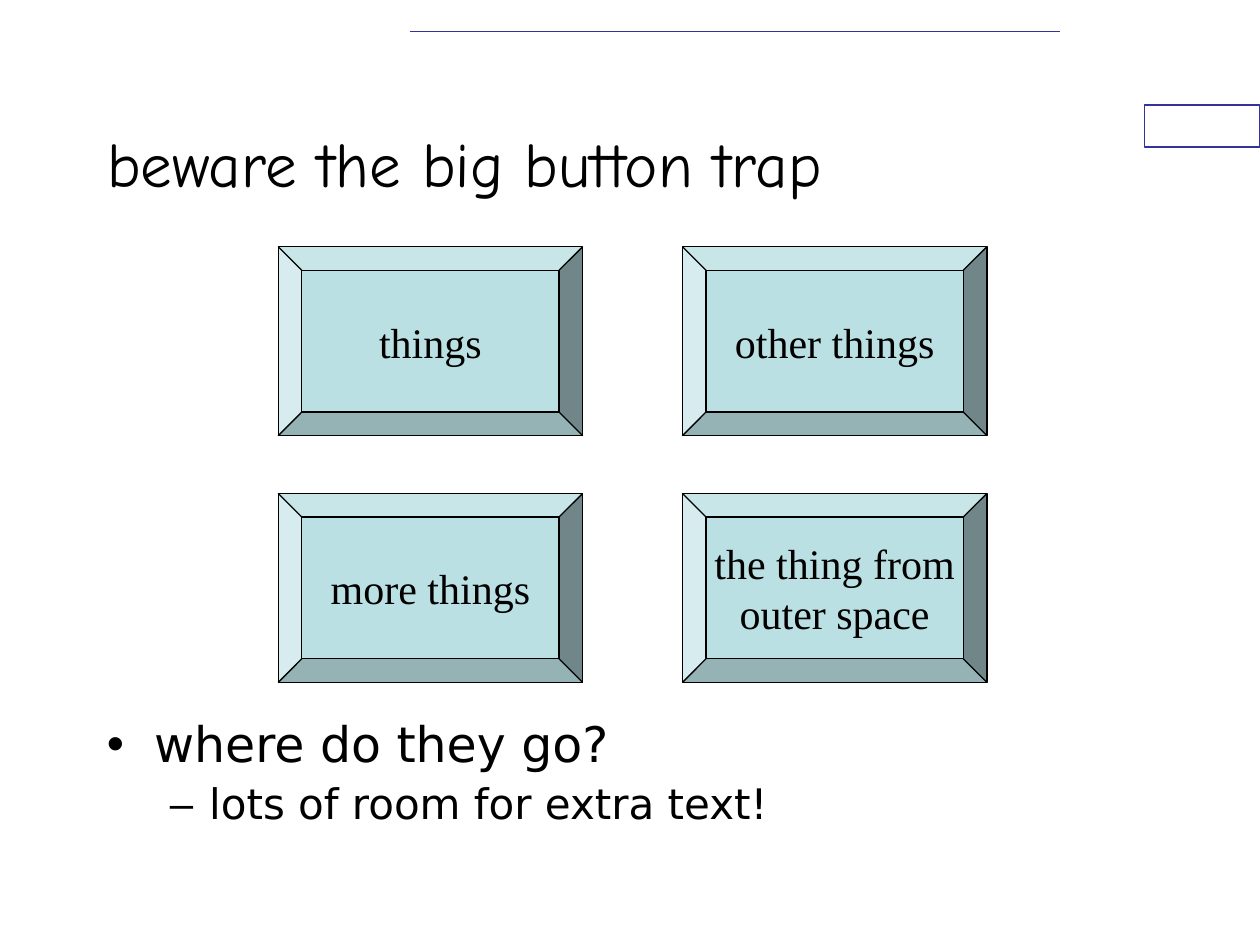
from lxml.etree import SubElement
from pptx import Presentation
from pptx.dml.color import RGBColor
from pptx.enum.shapes import MSO_CONNECTOR, MSO_SHAPE
from pptx.enum.text import MSO_ANCHOR, PP_ALIGN
from pptx.oxml.ns import qn
from pptx.util import Pt

COLORS = {"text": "000000", "accent": "333399", "button": "BBE0E3", "paper": "FFFFFF"}
FONTS = {"title": "Comic Neue", "body": "DejaVu Sans", "button": "Times New Roman"}
TITLE_ONLY = 5


def color(name):
    return RGBColor.from_string(COLORS[name])


def write(para, text, *, font, size, align=PP_ALIGN.LEFT, before=0, spacing=1.0):
    para.alignment = align
    para.space_before = Pt(before)
    para.line_spacing = spacing
    span = para.add_run()
    span.text = text
    span.font.name = FONTS[font]
    span.font.size = Pt(size)
    span.font.color.rgb = color("text")


def set_bullet(para, mark, margin, hanging):
    properties = para._p.get_or_add_pPr()
    properties.set("marL", str(Pt(margin)))
    properties.set("indent", str(-Pt(hanging)))
    SubElement(properties, qn("a:buFont")).set("typeface", "Arial")
    SubElement(properties, qn("a:buChar")).set("char", mark)


class SlideBuilder:
    """Holds the deck's style and the slide being filled."""

    def __init__(self, deck):
        self.page = deck.slides.add_slide(deck.slide_layouts[TITLE_ONLY])

    def title(self, text, left, top, width, height):
        box = self.page.shapes.title
        box.left, box.top, box.width, box.height = map(Pt, (left, top, width, height))
        box.text_frame.vertical_anchor = MSO_ANCHOR.MIDDLE
        write(box.text_frame.paragraphs[0], text, font="title", size=36)

    def line(self, left, top, right, bottom):
        rule = self.page.shapes.add_connector(
            MSO_CONNECTOR.STRAIGHT, *map(Pt, (left, top, right, bottom)))
        rule.line.color.rgb = color("accent")
        rule.line.width = Pt(1)
        SubElement(rule._element.spPr, qn("a:effectLst"))

    def shape(self, kind, left, top, width, height, fill, outline):
        box = self.page.shapes.add_shape(kind, *map(Pt, (left, top, width, height)))
        box.shadow.inherit = False
        box.fill.solid()
        box.fill.fore_color.rgb = color(fill)
        box.line.color.rgb = color(outline)
        box.line.width = Pt(0.75)
        return box

    def button(self, lines, left, top, width, height):
        box = self.shape(MSO_SHAPE.BEVEL, left, top, width, height, "button", "text")
        frame = box.text_frame
        frame.word_wrap = False
        frame.vertical_anchor = MSO_ANCHOR.MIDDLE
        for index, text in enumerate(lines):
            para = frame.add_paragraph() if index else frame.paragraphs[0]
            write(para, text, font="button", size=24, align=PP_ALIGN.CENTER)

    def bullets(self, items, left, top, width, height):
        """Each item is text, level, mark, size, space before, margin, hanging indent."""
        box = self.page.shapes.add_textbox(*map(Pt, (left, top, width, height)))
        frame = box.text_frame
        frame.word_wrap = True
        for index, (text, level, mark, size, before, margin, hanging) in enumerate(items):
            para = frame.add_paragraph() if index else frame.paragraphs[0]
            para.level = level
            write(para, text, font="body", size=size, before=before, spacing=0.9)
            set_bullet(para, mark, margin, hanging)


def main():
    deck = Presentation()
    deck.slide_width, deck.slide_height = Pt(720), Pt(540)
    slide = SlideBuilder(deck)

    slide.shape(MSO_SHAPE.RECTANGLE, 654, 60, 66, 24, "paper", "accent")
    slide.line(234, 18, 606, 18)
    slide.title("beware the big button trap", 54, 48, 540, 90)
    slide.bullets([
        ("where do they go?", 0, "•", 28, 7, 27, 27),
        ("lots of room for extra text!", 1, "–", 24, 6, 58.5, 22.5),
    ], 54, 408, 612, 72)

    button_grid = [
        [["things"], ["other things"]],
        [["more things"], ["the thing from", "outer space"]],
    ]
    for row, buttons in enumerate(button_grid):
        for column, lines in enumerate(buttons):
            slide.button(lines, 159 + 231 * column, 141 + 141 * row, 174, 108)

    deck.save("out.pptx")


if __name__ == "__main__":
    main()
